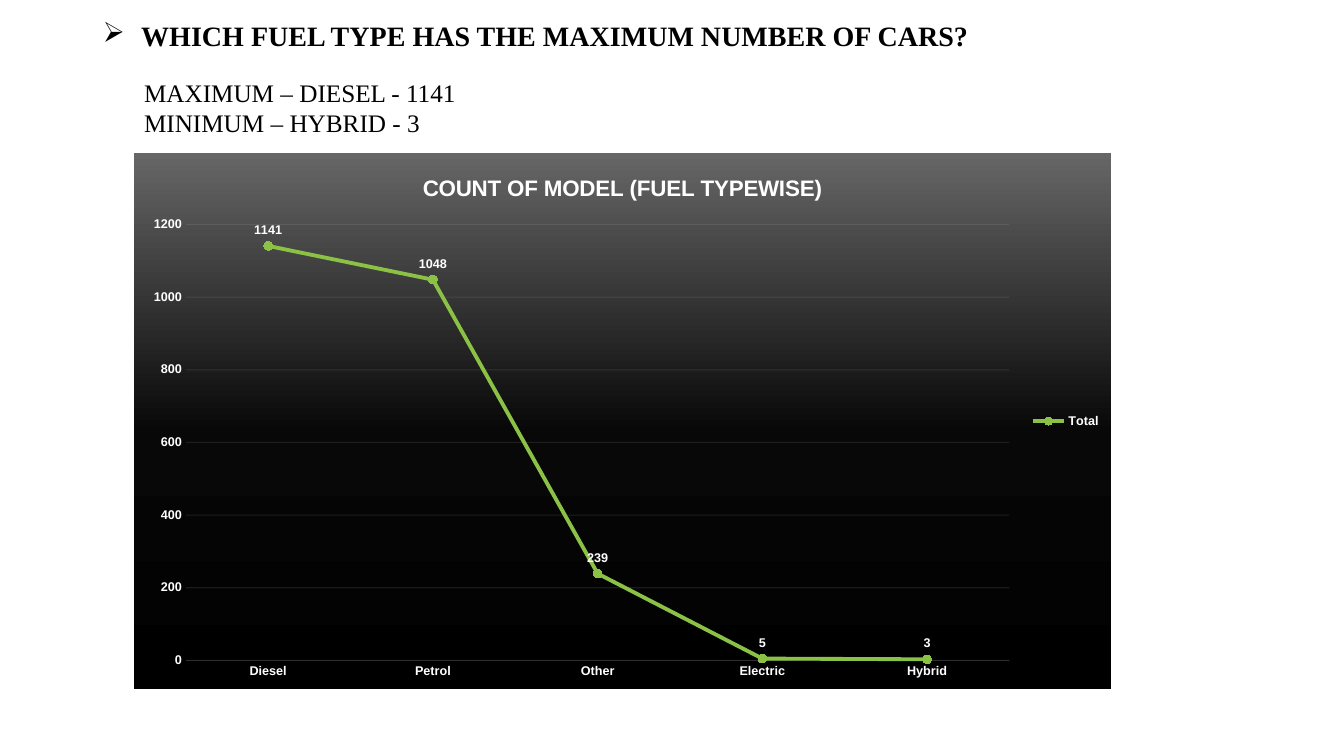
from dataclasses import dataclass

from lxml import etree
from pptx import Presentation
from pptx.chart.data import CategoryChartData
from pptx.dml.color import RGBColor
from pptx.enum import chart as ch, text
from pptx.oxml import parse_xml
from pptx.oxml.ns import nsdecls, qn
from pptx.util import Inches, Pt


@dataclass(frozen=True)
class Theme:
    black: str = "000000"
    white: str = "FFFFFF"
    grid: str = "F2F2F2"
    green: str = "8BC145"
    marker: str = "8CC73F"
    gradient: tuple = ((0, "000000"), (48, "080808"), (100, "666666"))
    serif: str = "Times New Roman"
    sans: str = "Arial"
    bullet: str = "Wingdings"
    title: int = 20
    body: int = 18
    chart_title: int = 16
    chart: int = 9


T = Theme()


def style(font, name, size, color, bold=False):
    font.name, font.size, font.bold = name, Pt(size), bold
    font.color.rgb = RGBColor.from_string(color)


def add_title(s, box, wording):
    sp = s.shapes.title
    sp.left, sp.top, sp.width, sp.height = map(Inches, box)
    tf = sp.text_frame
    tf.text = wording
    tf.auto_size = text.MSO_AUTO_SIZE.NONE
    tf.vertical_anchor = text.MSO_ANCHOR.MIDDLE
    p = tf.paragraphs[0]
    p.alignment = text.PP_ALIGN.LEFT
    p.line_spacing = 0.9
    style(p.font, T.serif, T.title, T.black, True)
    # Hanging arrow bullet: Ø is the arrowhead in the symbol font
    pPr = p._p.get_or_add_pPr()
    pPr.set("marL", str(Inches(0.38)))
    pPr.set("indent", str(Inches(-0.38)))
    defaults = pPr.find(qn("a:defRPr"))
    for xml in (f'<a:buClr {nsdecls("a")}><a:srgbClr val="{T.black}"/></a:buClr>',
                f'<a:buFont {nsdecls("a")} typeface="{T.bullet}" pitchFamily="2" charset="2"/>',
                f'<a:buChar {nsdecls("a")} char="Ø"/>'):
        defaults.addprevious(parse_xml(xml))


def add_answer(s, box, lines):
    tf = s.shapes.add_textbox(*map(Inches, box)).text_frame
    tf.word_wrap = True
    tf.text = "\n".join(lines)
    for p in tf.paragraphs:
        style(p.font, T.serif, T.body, T.black)


def fill_chart(chart):
    stops = "".join(f'<a:gs pos="{pos * 1000}"><a:srgbClr val="{color}"/></a:gs>'
                    for pos, color in T.gradient)
    chart._chartSpace.find(qn("c:chart")).addnext(parse_xml(
        f'<c:spPr {nsdecls("c", "a")}><a:gradFill><a:gsLst>{stops}</a:gsLst>'
        '<a:lin ang="16200000" scaled="0"/></a:gradFill>'
        '<a:ln><a:noFill/></a:ln></c:spPr>'))


def place_plot(chart, x, y, w, h):
    plot_area = chart._chartSpace.find(qn("c:chart")).find(qn("c:plotArea"))
    for old in plot_area.findall(qn("c:layout")):
        plot_area.remove(old)
    sizes = "".join(f'<c:{tag} val="{val}"/>' for tag, val in zip("xywh", (x, y, w, h)))
    plot_area.insert(0, parse_xml(
        f'<c:layout {nsdecls("c")}><c:manualLayout><c:layoutTarget val="inner"/>'
        f'<c:xMode val="edge"/><c:yMode val="edge"/>{sizes}</c:manualLayout></c:layout>'))


def style_axes(chart):
    category, value = chart.category_axis, chart.value_axis
    value.minimum_scale, value.maximum_scale, value.major_unit = 0, 1200, 200
    for axis in (category, value):
        axis.major_tick_mark = axis.minor_tick_mark = ch.XL_TICK_MARK.NONE
        style(axis.tick_labels.font, T.sans, T.chart, T.white, True)
    for line in (category.format.line, value.major_gridlines.format.line):
        line.width = Pt(0.75)
        line.color.rgb = RGBColor.from_string(T.grid)
    value.format.line.fill.background()
    # Faint axis and grid lines
    for axis in (category, value):
        for color in axis._element.xpath("./c:spPr//a:srgbClr | ./c:majorGridlines//a:srgbClr"):
            etree.SubElement(color, qn("a:alpha")).set("val", "10000")


def style_series(series):
    series.smooth = False
    series.format.line.width = Pt(2.75)
    series.format.line.color.rgb = RGBColor.from_string(T.green)
    marker = series.marker
    marker.style, marker.size = ch.XL_MARKER_STYLE.CIRCLE, 6
    marker.format.fill.solid()
    marker.format.fill.fore_color.rgb = RGBColor.from_string(T.marker)
    marker.format.line.color.rgb = RGBColor.from_string(T.marker)
    labels = series.data_labels
    labels.show_value = True
    labels.position = ch.XL_LABEL_POSITION.ABOVE
    style(labels.font, T.sans, T.chart, T.white, True)


def add_fuel_chart(s, box, title, counts):
    data = CategoryChartData()
    data.categories = list(counts)
    data.add_series("Total", list(counts.values()))
    chart = s.shapes.add_chart(ch.XL_CHART_TYPE.LINE_MARKERS,
                               *map(Inches, box), data).chart
    style(chart.font, T.sans, T.chart, T.white, True)
    fill_chart(chart)
    place_plot(chart, 0.053, 0.133, 0.843, 0.813)
    # Title and legend
    chart.has_title = True
    tf = chart.chart_title.text_frame
    tf.text = title
    style(tf.paragraphs[0].font, T.sans, T.chart_title, T.white, True)
    chart.chart_title.include_in_layout = False
    chart.has_legend = True
    chart.legend.position = ch.XL_LEGEND_POSITION.RIGHT
    chart.legend.include_in_layout = False
    style(chart.legend.font, T.sans, T.chart, T.white, True)
    # Axes and line
    style_axes(chart)
    chart.plots[0].vary_by_categories = False
    style_series(chart.plots[0].series[0])


def main():
    prs = Presentation()
    prs.slide_width, prs.slide_height = Inches(13.33), Inches(7.5)
    s = prs.slides.add_slide(prs.slide_layouts[5])
    add_title(s, (0.92, 0.11, 11.5, 0.52),
              "WHICH FUEL TYPE HAS THE MAXIMUM NUMBER OF CARS?")
    add_answer(s, (1.33, 0.72, 8.25, 0.71),
               ("MAXIMUM – DIESEL - 1141", "MINIMUM – HYBRID - 3"))
    add_fuel_chart(s, (1.33, 1.52, 9.69, 5.32), "COUNT OF MODEL (FUEL TYPEWISE)",
                   {"Diesel": 1141, "Petrol": 1048, "Other": 239,
                    "Electric": 5, "Hybrid": 3})
    prs.save("out.pptx")


if __name__ == "__main__":
    main()
